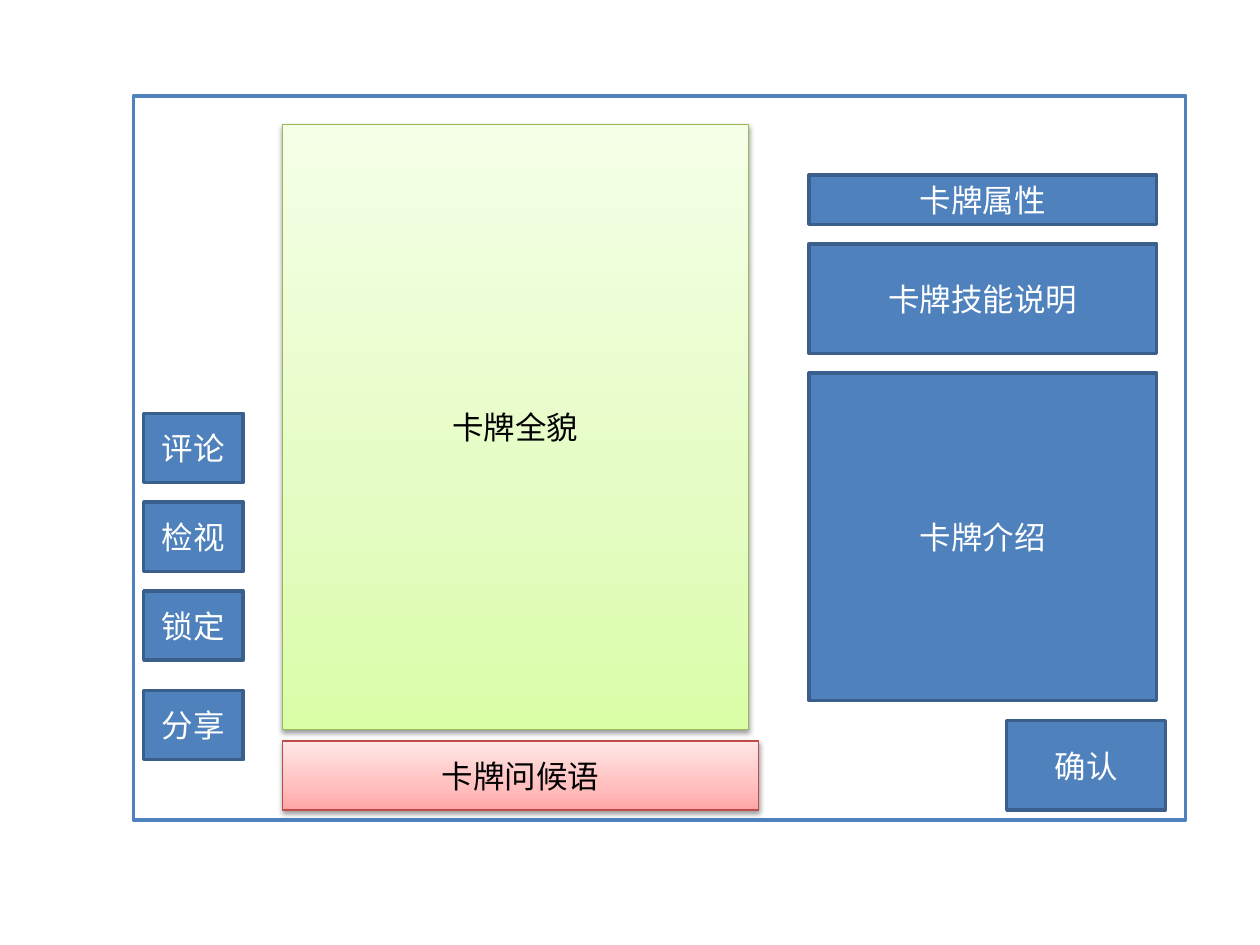
from copy import deepcopy

from lxml.etree import SubElement
from pptx import Presentation
from pptx.dml.color import RGBColor
from pptx.enum.shapes import MSO_SHAPE
from pptx.enum.text import MSO_ANCHOR, PP_ALIGN
from pptx.oxml.ns import qn
from pptx.util import Inches, Pt

COLUMNS, ROWS = 100, 75
WIDTH, HEIGHT = Inches(10), Inches(7.5)
BLUE, NAVY, WHITE, BLACK = "4F81BD", "3A5F8C", "FFFFFF", "000000"
GREENS = ("DAFDA7", "E4FCC2", "F5FFE7")
REDS = ("FFA6A5", "FFC0BF", "FFE7E7")


def color(value):
    """Turn a hex string into a colour."""
    return RGBColor.from_string(value)


def add_panel(page, box, fill, line, weight=2):
    """Add a flat rectangle at a grid box of left, top, width and height."""
    left, top, width, height = box
    panel = page.shapes.add_shape(
        MSO_SHAPE.RECTANGLE,
        round(left * WIDTH / COLUMNS),
        round(top * HEIGHT / ROWS),
        round(width * WIDTH / COLUMNS),
        round(height * HEIGHT / ROWS),
    )
    panel.shadow.inherit = False
    panel.fill.solid()
    panel.fill.fore_color.rgb = color(fill)
    panel.line.color.rgb = color(line)
    panel.line.width = Pt(weight)
    return panel


def add_label(panel, text, ink):
    """Write one centred line in a panel."""
    frame = panel.text_frame
    frame.word_wrap = True
    frame.vertical_anchor = MSO_ANCHOR.MIDDLE
    para = frame.paragraphs[0]
    para.alignment = PP_ALIGN.CENTER
    span = para.add_run()
    span.text = text
    span.font.name = "Calibri"
    span.font.size = Pt(18)
    span.font.color.rgb = color(ink)


def add_gradient(panel, shades):
    """Fill a panel with three shades rising from its bottom edge."""
    panel.fill.gradient()
    panel.fill.gradient_angle = 90
    stop_list = next(panel._element.spPr.iter(qn("a:gsLst")))
    stop_list.append(deepcopy(stop_list[-1]))
    for stop, shade, position in zip(panel.fill.gradient_stops, shades, (0, 0.35, 1)):
        stop.color.rgb = color(shade)
        stop.position = position


def add_shadow(panel):
    """Cast a soft shadow straight down from a panel."""
    effects = panel._element.spPr.find(qn("a:effectLst"))
    shadow = SubElement(
        effects, qn("a:outerShdw"), blurRad=str(Pt(3.1)), dist=str(Pt(1.6)),
        dir="5400000", rotWithShape="0",
    )
    tint = SubElement(shadow, qn("a:srgbClr"), val=BLACK)
    SubElement(tint, qn("a:alpha"), val="38000")


def add_card_area(page, box, text, shades, line):
    """Place a shaded, raised card area."""
    panel = add_panel(page, box, shades[0], line, 0.75)
    add_gradient(panel, shades)
    add_shadow(panel)
    add_label(panel, text, BLACK)


def add_button(page, box, text):
    """Place a blue labelled block."""
    add_label(add_panel(page, box, BLUE, NAVY), text, WHITE)


def add_stack(page, left, top, width, gap, blocks):
    """Stack blue blocks of given heights downwards with an equal gap."""
    for text, height in blocks:
        add_button(page, (left, top, width, height), text)
        top += height + gap


def build_card_page(page):
    """Lay out the card detail screen."""
    add_panel(page, (10.6, 7.6, 83.5, 57.5), WHITE, BLUE)
    add_card_area(page, (22.4, 9.9, 37, 48), "卡牌全貌", GREENS, "98B955")
    add_card_area(page, (22.4, 58.8, 37.8, 5.5), "卡牌问候语", REDS, "BF4C48")
    actions = [(text, 5.5) for text in ("评论", "检视", "锁定")]
    add_stack(page, 11.4, 32.8, 7.9, 1.55, actions)
    add_button(page, (11.4, 54.8, 7.9, 5.5), "分享")
    details = [("卡牌属性", 3.9), ("卡牌技能说明", 8.7), ("卡牌介绍", 26)]
    add_stack(page, 64.2, 13.9, 27.6, 1.55, details)
    add_button(page, (79.9, 57.2, 12.6, 7.1), "确认")


def main():
    """Build and save the deck."""
    deck = Presentation()
    deck.slide_width, deck.slide_height = WIDTH, HEIGHT
    build_card_page(deck.slides.add_slide(deck.slide_layouts[6]))
    deck.save("out.pptx")


if __name__ == "__main__":
    main()
